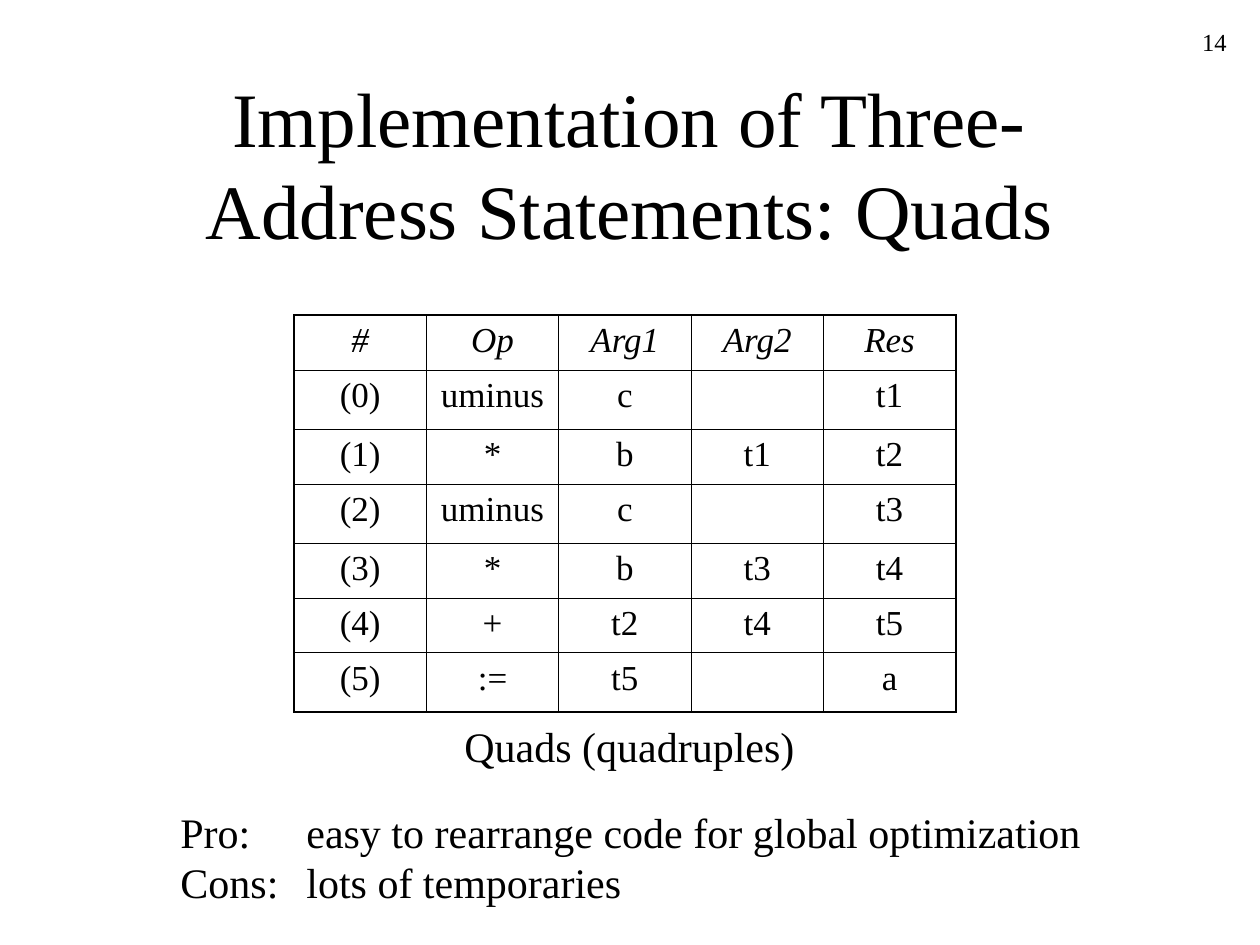
from lxml.etree import SubElement
from pptx import Presentation
from pptx.dml.color import RGBColor
from pptx.enum.text import MSO_ANCHOR, MSO_AUTO_SIZE, PP_ALIGN
from pptx.oxml.ns import qn
from pptx.util import Pt

COLORS = {"ink": "000000"}
FONT = "Times New Roman"
PX = 914400 // 126

TITLE = "Implementation of Three-Address Statements: Quads"
CAPTION = "Quads (quadruples)"
TRADE_OFFS = "Pro:\teasy to rearrange code for global optimization\nCons:\tlots of temporaries"
PAGE_NUMBER = "14"
QUADS = [
    ("#", "Op", "Arg1", "Arg2", "Res"),
    ("(0)", "uminus", "c", "", "t1"),
    ("(1)", "*", "b", "t1", "t2"),
    ("(2)", "uminus", "c", "", "t3"),
    ("(3)", "*", "b", "t3", "t4"),
    ("(4)", "+", "t2", "t4", "t5"),
    ("(5)", ":=", "t5", "", "a"),
]
TABLE_LEFT, TABLE_TOP, TABLE_WIDTH = 294, 315, 662
ROW_HEIGHT, ROW_HEIGHT_WITH_GAP = 55, 59
INNER_LINE, OUTER_LINE = 0.45, 1.08


def write(frame, text, size, align=PP_ALIGN.LEFT, italic=False, tab=None):
    para = frame.paragraphs[0]
    para.text = text
    para.alignment = align
    if tab:
        tabs = SubElement(para._p.get_or_add_pPr(), qn("a:tabLst"))
        SubElement(tabs, qn("a:tab"), pos=str(tab * PX), algn="l")
    for span in para.runs:
        span.font.name = FONT
        span.font.size = Pt(size)
        span.font.italic = italic
        span.font.color.rgb = RGBColor.from_string(COLORS["ink"])


def add_text(page, area, text, size, wrap=True, anchor=MSO_ANCHOR.TOP, **style):
    box = page.shapes.add_textbox(*(value * PX for value in area))
    frame = box.text_frame
    frame.word_wrap = wrap
    frame.auto_size = MSO_AUTO_SIZE.NONE if wrap else MSO_AUTO_SIZE.SHAPE_TO_FIT_TEXT
    frame.vertical_anchor = anchor
    write(frame, text, size, **style)


def draw_borders(cell, outer_sides):
    properties = cell._tc.get_or_add_tcPr()
    for side in ("L", "R", "T", "B"):
        width = OUTER_LINE if side in outer_sides else INNER_LINE
        line = SubElement(properties, qn(f"a:ln{side}"), w=str(int(Pt(width))))
        fill = SubElement(line, qn("a:solidFill"))
        SubElement(fill, qn("a:srgbClr"), val=COLORS["ink"])


def add_quads_table(page):
    row_count, column_count = len(QUADS), len(QUADS[0])
    heights = [ROW_HEIGHT if all(row) else ROW_HEIGHT_WITH_GAP for row in QUADS]
    table = page.shapes.add_table(
        row_count, column_count, TABLE_LEFT * PX, TABLE_TOP * PX,
        TABLE_WIDTH * PX, sum(heights) * PX,
    ).table
    table.first_row = False
    table.horz_banding = False
    for column in table.columns:
        column.width = TABLE_WIDTH * PX // column_count
    for r, values in enumerate(QUADS):
        table.rows[r].height = heights[r] * PX
        for c, value in enumerate(values):
            cell = table.cell(r, c)
            edges = {"L": c == 0, "R": c == column_count - 1,
                     "T": r == 0, "B": r == row_count - 1}
            draw_borders(cell, [side for side, outer in edges.items() if outer])
            cell.fill.background()
            if value:
                write(cell.text_frame, value, 20, align=PP_ALIGN.CENTER, italic=r == 0)


def main():
    deck = Presentation()
    deck.slide_width, deck.slide_height = 1260 * PX, 945 * PX
    page = deck.slides.add_slide(deck.slide_layouts[6])
    add_text(page, (94, 84, 1071, 158), TITLE, 44,
             anchor=MSO_ANCHOR.MIDDLE, align=PP_ALIGN.CENTER)
    add_quads_table(page)
    add_text(page, (452, 714, 355, 63), CAPTION, 24, wrap=False)
    add_text(page, (168, 800, 940, 113), TRADE_OFFS, 24, tab=126)
    add_text(page, (977, 21, 262, 63), PAGE_NUMBER, 14, align=PP_ALIGN.RIGHT)
    deck.save("out.pptx")


if __name__ == "__main__":
    main()
